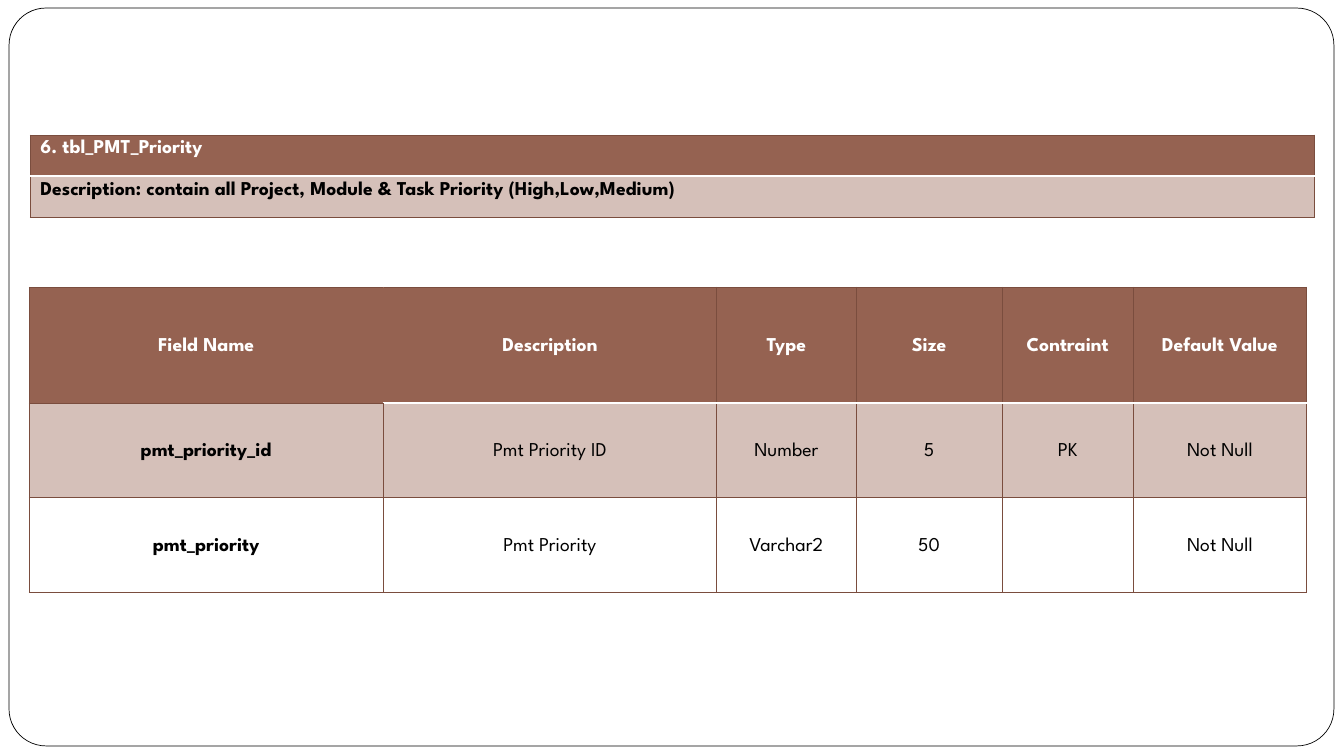
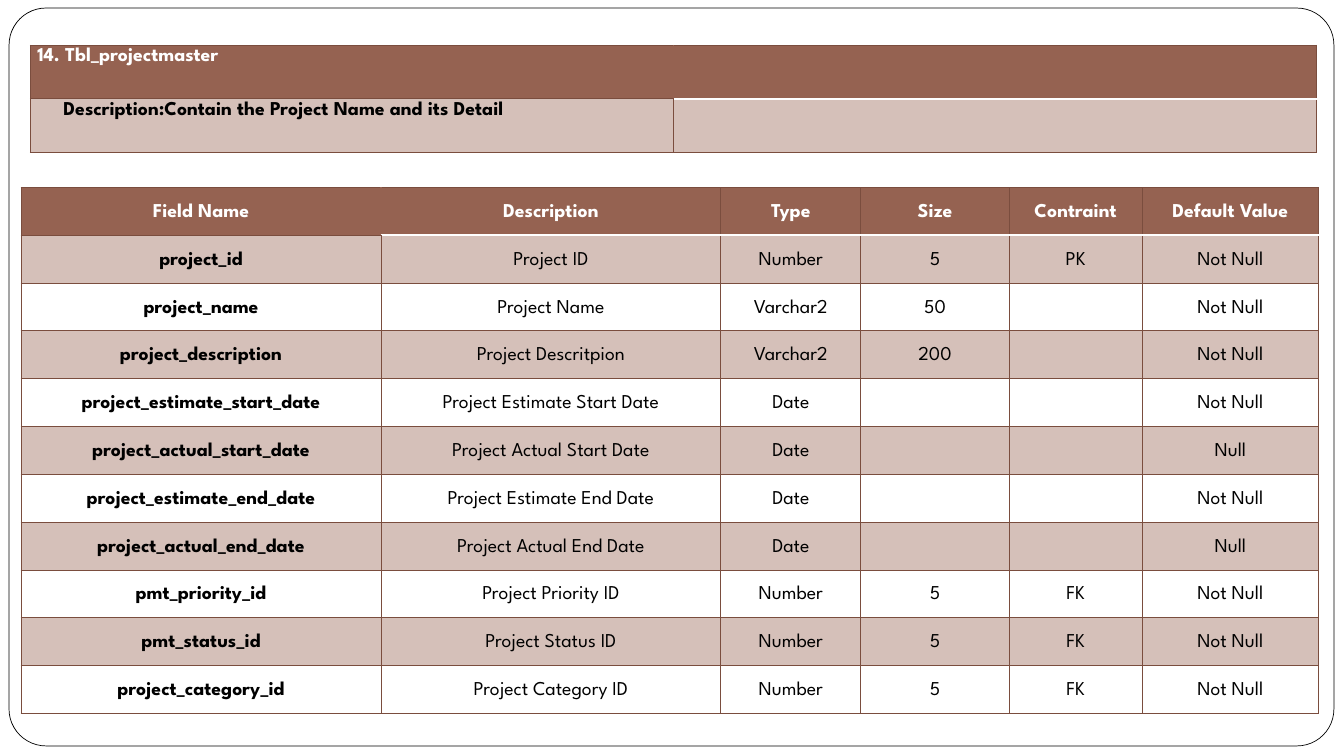
from lxml import etree
from pptx import Presentation
from pptx import util as u
from pptx.dml.color import RGBColor
from pptx.enum import shapes, text
from pptx.oxml.ns import qn

BROWN = RGBColor(0x95, 0x62, 0x51)
DARK_BROWN = RGBColor(0x7A, 0x4D, 0x3E)
TINT = RGBColor(0xD5, 0xC0, 0xB9)
WHITE = RGBColor(0xFF, 0xFF, 0xFF)
BLACK = RGBColor(0, 0, 0)
FONT = "League Spartan"

FIELD_HEADER = ("Field Name", "Description", "Type", "Size", "Contraint", "Default Value")
PRIORITY_FIELDS = [
    ("pmt_priority_id", "Pmt Priority ID", "Number", "5", "PK", "Not Null"),
    ("pmt_priority", "Pmt Priority", "Varchar2", "50", "", "Not Null"),
]
PROJECT_FIELDS = [
    ("project_id", "Project ID", "Number", "5", "PK", "Not Null"),
    ("project_name", "Project Name", "Varchar2", "50", "", "Not Null"),
    ("project_description", "Project Descritpion", "Varchar2", "200", "", "Not Null"),
    ("project_estimate_start_date", "Project Estimate Start Date", "Date", "", "", "Not Null"),
    ("project_actual_start_date", "Project Actual Start Date", "Date", "", "", "Null"),
    ("project_estimate_end_date", "Project Estimate End Date", "Date", "", "", "Not Null"),
    ("project_actual_end_date", "Project Actual End Date", "Date", "", "", "Null"),
    ("pmt_priority_id", "Project Priority ID", "Number", "5", "FK", "Not Null"),
    ("pmt_status_id", "Project Status ID", "Number", "5", "FK", "Not Null"),
    ("project_category_id", "Project Category ID", "Number", "5", "FK", "Not Null"),
]


def add_framed_slide(prs):
    s = prs.slides.add_slide(prs.slide_layouts[6])
    frame = s.shapes.add_shape(
        shapes.MSO_SHAPE.ROUNDED_RECTANGLE,
        u.Inches(0.09), u.Inches(0.08), u.Inches(13.14), u.Inches(7.32))
    frame.adjustments[0] = 0.05
    frame.shadow.inherit = False
    frame.fill.solid()
    frame.fill.fore_color.rgb = WHITE
    frame.line.color.rgb = BLACK
    frame.line.width = u.Pt(0.5)
    return s


def set_borders(cell, **edges):
    """Draw cell edges given as L, R, T, B = (colour, points); call before filling."""
    tc_pr = cell._tc.get_or_add_tcPr()
    for side in "LRTB":
        color, width = edges[side]
        ln = etree.SubElement(tc_pr, qn("a:ln" + side), w=str(u.Pt(width)))
        fill = etree.SubElement(ln, qn("a:solidFill"))
        etree.SubElement(fill, qn("a:srgbClr"), val=str(color))


def style_borders(cell, row, col, col_count):
    """White rule under the header, except below the first of several columns."""
    thin = (DARK_BROWN, 0.75)
    rule = (WHITE, 1.5) if col or col_count == 1 else thin
    inner = (BROWN, 1) if row == 0 else thin
    set_borders(
        cell,
        L=inner if col == 1 else thin,
        R=inner if col == 0 and col_count > 1 else thin,
        T=rule if row == 1 else thin,
        B=rule if row == 0 else thin)


def set_cell_text(cell, value, bold, color, align, spacing):
    p = cell.text_frame.paragraphs[0]
    p.text = value
    p.alignment = align
    p.line_spacing = spacing
    for r in p.runs:
        r.font.name = FONT
        r.font.size = u.Pt(14)
        r.font.bold = bold
        r.font.color.rgb = color


def add_banded_table(s, left, top, widths, heights, rows, margins=(0.07, 0),
                     spacing=1.15, centered=False):
    shape = s.shapes.add_table(
        len(rows), len(widths), u.Inches(left), u.Inches(top),
        u.Inches(sum(widths)), u.Inches(sum(heights)))
    table = shape.table
    table.first_row = table.horz_banding = False
    for column, width in zip(table.columns, widths):
        column.width = u.Inches(width)
    for table_row, height in zip(table.rows, heights):
        table_row.height = u.Inches(height)

    align = text.PP_ALIGN.CENTER if centered else text.PP_ALIGN.LEFT
    anchor = text.MSO_ANCHOR.MIDDLE if centered else text.MSO_ANCHOR.TOP
    for i, values in enumerate(rows):
        for j, value in enumerate(values):
            cell = table.cell(i, j)
            cell.margin_left = cell.margin_right = u.Inches(margins[0])
            cell.margin_top = cell.margin_bottom = u.Inches(margins[1])
            cell.vertical_anchor = anchor
            style_borders(cell, i, j, len(widths))
            cell.fill.solid()
            cell.fill.fore_color.rgb = BROWN if i == 0 else TINT if i % 2 else WHITE
            set_cell_text(cell, value, i == 0 or j == 0,
                          WHITE if i == 0 else BLACK, align, spacing)
    return table


def add_field_table(s, left, top, widths, heights, fields):
    add_banded_table(s, left, top, widths, heights, [FIELD_HEADER, *fields], centered=True)


def main():
    prs = Presentation()
    prs.slide_width, prs.slide_height = u.Inches(13.33), u.Inches(7.5)

    s = add_framed_slide(prs)
    add_field_table(s, 0.29, 2.85, [3.51, 3.31, 1.38, 1.45, 1.3, 1.72],
                    [1.15, 0.94, 0.94], PRIORITY_FIELDS)
    add_banded_table(
        s, 0.3, 1.34, [12.74], [0.41] * 2,
        [("6. tbl_PMT_Priority",),
         ("Description: contain all Project, Module & Task Priority (High,Low,Medium)",)],
        margins=(0.1, 0.05), spacing=1)

    s = add_framed_slide(prs)
    caption = add_banded_table(
        s, 0.3, 0.45, [6.38] * 2, [0.53] * 2,
        [("14. Tbl_projectmaster", ""),
         ("Description:Contain the Project Name and its Detail", "")])
    description = caption.cell(1, 0).text_frame.paragraphs[0]
    description._p.get_or_add_pPr().set("marL", str(u.Inches(0.26)))
    add_field_table(s, 0.21, 1.86, [3.57, 3.37, 1.39, 1.47, 1.32, 1.75],
                    [5.22 / 11] * 11, PROJECT_FIELDS)

    prs.save("out.pptx")


if __name__ == "__main__":
    main()
